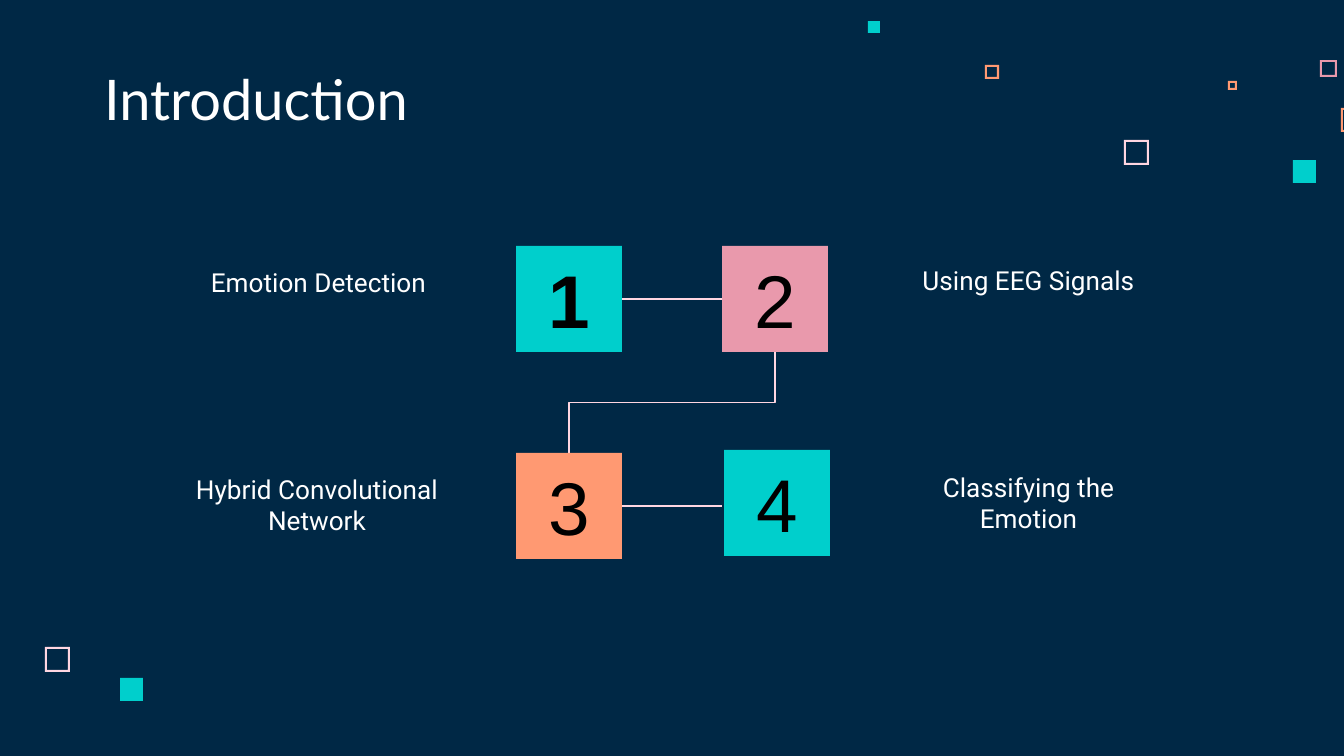
import lxml.etree
import pptx
import pptx.util
import pptx.dml.color
import pptx.enum.shapes
import pptx.enum.text
import pptx.oxml.ns

RGBColor = pptx.dml.color.RGBColor
NAVY = RGBColor(0x00, 0x28, 0x45)
TEAL = RGBColor(0x00, 0xCF, 0xCC)
ROSE = RGBColor(0xE9, 0x99, 0xAC)
ORANGE = RGBColor(0xFF, 0x99, 0x72)
BLUSH = RGBColor(0xFF, 0xD6, 0xE1)
WHITE = RGBColor(0xFF, 0xFF, 0xFF)
BLACK = RGBColor(0x00, 0x00, 0x00)

SHAPE = pptx.enum.shapes.MSO_SHAPE
CONNECTOR = pptx.enum.shapes.MSO_CONNECTOR
ALIGN = pptx.enum.text.PP_ALIGN
ANCHOR = pptx.enum.text.MSO_ANCHOR

WIDTH, HEIGHT = 1344, 756
EMU_PER_PX = 9144000 / WIDTH
INSET = 13
TILE = 106
FRAME_LINE = 2

TITLE = ("Introduction", (91, 60, 866, 85))
LABELS = [
    ("Emotion Detection", (180, 253, 277, 95)),
    ("Using EEG Signals", (890, 251, 277, 95)),
    ("Hybrid Convolutional Network", (164, 460, 306, 95)),
    ("Classifying the Emotion", (890, 458, 277, 95)),
]
TILES = [
    ("1", 516, 246, TEAL, True),
    ("2", 722, 246, ROSE, False),
    ("3", 516, 453, ORANGE, False),
    ("4", 724, 450, TEAL, False),
]
FRAMES = [
    (1124, 140, 25, BLUSH),
    (1320, 60, 17, ROSE),
    (1228, 81, 9, ORANGE),
    (1341, 108, 24, ORANGE),
    (985, 65, 14, ORANGE),
    (45, 647, 25, BLUSH),
]
SQUARES = [(1293, 160, 23, TEAL), (868, 21, 12, TEAL), (120, 678, 23, TEAL)]

TITLE_FONT = {"name": "Lato", "size": pptx.util.Pt(30), "bold": False}
LABEL_FONT = {"name": "Roboto", "size": pptx.util.Pt(14), "bold": False}
NUMBER_FONT = {"name": "Arial", "size": pptx.util.Pt(40)}


def px(value):
    return pptx.util.Emu(round(value * EMU_PER_PX))


def write_text(shape, text, font, color, align, anchor):
    frame = shape.text_frame
    frame.text = text
    margins = {f"margin_{side}": px(INSET) for side in ("left", "top", "right", "bottom")}
    layout = {
        "word_wrap": True,
        "auto_size": pptx.enum.text.MSO_AUTO_SIZE.NONE,
        "vertical_anchor": anchor,
    }
    for name, value in {**margins, **layout}.items():
        setattr(frame, name, value)
    paragraph = frame.paragraphs[0]
    paragraph.alignment = align
    run = paragraph.runs[0]
    for name, value in font.items():
        setattr(run.font, name, value)
    run.font.color.rgb = color


def add_box(slide, kind, left, top, size, color):
    shape = slide.shapes.add_shape(kind, px(left), px(top), px(size), px(size))
    shape.shadow.inherit = False
    shape.fill.solid()
    shape.fill.fore_color.rgb = color
    shape.line.fill.background()
    return shape


def add_link(slide, kind, start, end):
    link = slide.shapes.add_connector(kind, *(px(value) for value in start + end))
    link.line.color.rgb = BLUSH
    link.line.width = pptx.util.Pt(0.75)
    properties = link._element.spPr
    lxml.etree.SubElement(properties, pptx.oxml.ns.qn("a:effectLst"))
    return properties


def add_links(slide):
    (_, left, top, *_), (_, right, *_), (_, _, lower, *_), _ = TILES
    half = TILE / 2
    for kind, row in ((CONNECTOR.ELBOW, top), (CONNECTOR.STRAIGHT, lower)):
        add_link(slide, kind, (left + TILE, row + half), (right, row + half))

    gap, span = lower - top - TILE, right - left
    center_x, center_y = (left + right) / 2 + half, (top + lower + TILE) / 2
    properties = add_link(
        slide,
        CONNECTOR.ELBOW,
        (center_x - gap / 2, center_y - span / 2),
        (center_x + gap / 2, center_y + span / 2),
    )
    properties.find(pptx.oxml.ns.qn("a:xfrm")).set("rot", str(90 * 60000))


def main():
    presentation = pptx.Presentation()
    presentation.slide_width = px(WIDTH)
    presentation.slide_height = px(HEIGHT)
    slide = presentation.slides.add_slide(presentation.slide_layouts[5])
    slide.background.fill.solid()
    slide.background.fill.fore_color.rgb = NAVY

    for left, top, size, color in FRAMES:
        shape = add_box(slide, SHAPE.FRAME, left, top, size, color)
        shape.adjustments[0] = FRAME_LINE / size
    for square in SQUARES:
        add_box(slide, SHAPE.RECTANGLE, *square)

    text, bounds = TITLE
    title = slide.shapes.title
    for name, value in zip(("left", "top", "width", "height"), bounds):
        setattr(title, name, px(value))
    write_text(title, text, TITLE_FONT, WHITE, ALIGN.LEFT, ANCHOR.BOTTOM)

    for text, bounds in LABELS:
        label = slide.shapes.add_textbox(*(px(value) for value in bounds))
        write_text(label, text, LABEL_FONT, WHITE, ALIGN.CENTER, ANCHOR.TOP)

    add_links(slide)
    for number, left, top, color, bold in TILES:
        tile = add_box(slide, SHAPE.RECTANGLE, left, top, TILE, color)
        font = {**NUMBER_FONT, "bold": bold}
        write_text(tile, number, font, BLACK, ALIGN.CENTER, ANCHOR.MIDDLE)

    presentation.save("out.pptx")


if __name__ == "__main__":
    main()
